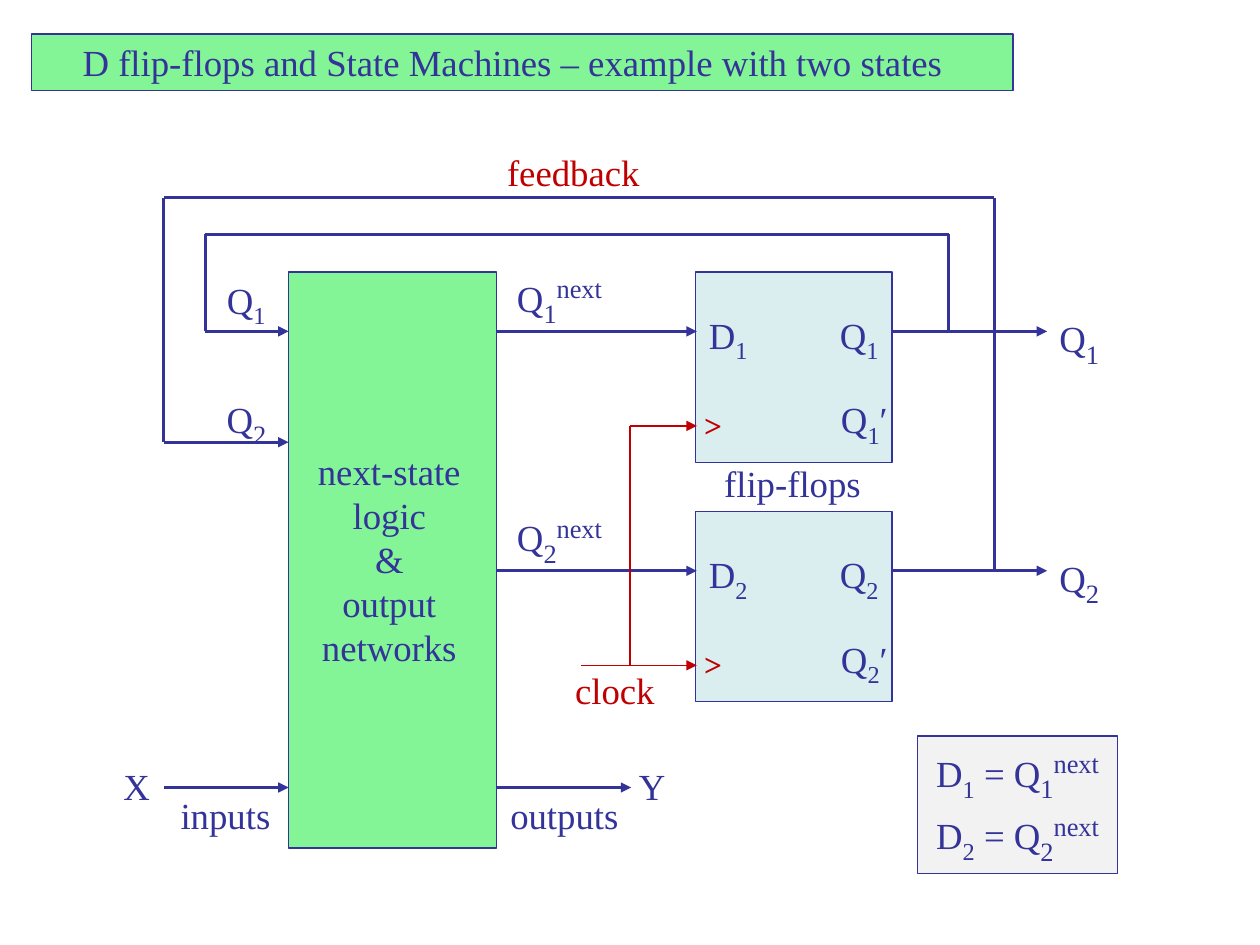
from lxml import etree
from pptx import Presentation
from pptx.dml.color import RGBColor
from pptx.enum.shapes import MSO_CONNECTOR as CONN, MSO_SHAPE as SHAPE
from pptx.enum.text import MSO_ANCHOR as ANCHOR, PP_ALIGN as ALIGN
from pptx.oxml.ns import qn
from pptx.util import Inches, Pt

NAVY = RGBColor(0x33, 0x33, 0x99)
RED = RGBColor(0xC0, 0x00, 0x00)
GREEN = RGBColor(0x83, 0xF5, 0x96)
PALE_BLUE = RGBColor(0xDA, 0xED, 0xEF)
PALE_GRAY = RGBColor(0xF2, 0xF2, 0xF2)
FONT = "Times New Roman"

# The slide is a grid of 100 columns by 75 rows of square cells
COLS, ROWS = 100, 75
CELL = Inches(10) / COLS

# Run markers: small subscript, large subscript, superscript (size, baseline)
SCRIPTS = {"_": (24, -25000), "~": (26, -25000), "^": (26, 30000)}


def cells(*lengths):
    return [round(n * CELL) for n in lengths]


def write(tf, lines, color=NAVY, size=21, bold=None, align=ALIGN.CENTER):
    """Fill a text frame; "|" parts runs and a marker sets a run as script."""
    tf.word_wrap = True
    tf.vertical_anchor = ANCHOR.TOP
    for i, line in enumerate(lines.split("\n")):
        p = tf.paragraphs[0] if i == 0 else tf.add_paragraph()
        p.alignment = align
        for part in line.split("|"):
            run_size, baseline = SCRIPTS.get(part[0], (size, 0))
            r = p.add_run()
            r.text = part[1:] if baseline else part
            r.font.name, r.font.size, r.font.bold = FONT, Pt(run_size), bold
            r.font.color.rgb = color
            if baseline:
                r._r.get_or_add_rPr().set("baseline", str(baseline))


def label(s, box, text, **style):
    tb = s.shapes.add_textbox(*cells(*box))
    write(tb.text_frame, text, **style)


def block(s, box, fill):
    sp = s.shapes.add_shape(SHAPE.RECTANGLE, *cells(*box))
    sp.shadow.inherit = False
    sp.fill.solid()
    sp.fill.fore_color.rgb = fill
    sp.line.color.rgb = NAVY
    sp.line.width = Pt(0.75)
    return sp


def wire(s, *points, color=NAVY, width=1.75, arrow=True):
    """Join the points with straight lines; the last may end in an arrow."""
    for start, end in zip(points, points[1:]):
        c = s.shapes.add_connector(CONN.STRAIGHT, *cells(*start, *end))
        c.line.color.rgb = color
        c.line.width = Pt(width)
        if arrow and end == points[-1]:
            ln = c.line._get_or_add_ln()
            etree.SubElement(ln, qn("a:tailEnd"), type="triangle")
        etree.SubElement(c._element.spPr, qn("a:effectLst"))


def title_bar(s, box):
    sp = block(s, box, GREEN)
    sp.text_frame.margin_right = Inches(0.25)
    write(sp.text_frame,
          "D flip-flops and State Machines – example with two states")


def logic_block(s, box):
    x, y, w, h = box
    block(s, box, GREEN)
    label(s, (x + 0.8, y + 13.5, w - 2.1, 18.5),
          "next-state\nlogic\n&\noutput\nnetworks")
    # External input and output
    io_y = y + 40.9
    wire(s, (x - 9.9, io_y), (x, io_y))
    wire(s, (x + w, io_y), (x + w + 10.7, io_y))
    label(s, (x - 14.8, io_y - 2.4, 5.5, 4.5), "X")
    label(s, (x + w + 9.9, io_y - 2.4, 4.9, 4.5), "Y")
    label(s, (x - 10.3, io_y - 0.1, 10.6, 4.5), "inputs")
    label(s, (x + w + 0.1, io_y - 0.1, 10.6, 4.5), "outputs")


def flip_flop(s, box, n, logic_right):
    x, y, w, h = box
    pin_y = y + 4.7
    block(s, box, PALE_BLUE)
    # Data wires
    wire(s, (logic_right, pin_y), (x + 0.1, pin_y))
    wire(s, (x + w, pin_y), (x + w + 12.3, pin_y))
    # Pin names
    label(s, (x - 0.4, y + 2.3, 6, 5.6), f"D|_{n}")
    label(s, (x + 10, y + 2.3, 6, 5.6), f"Q|_{n}")
    label(s, (x + 10.3, y + 9, 6.2, 5.6), f"Q|_{n}|ʹ")
    label(s, (x - 0.3, y + 10.1, 3.4, 4), ">",
          color=RED, size=18, bold=True, align=ALIGN.LEFT)
    # Wire names
    label(s, (logic_right - 0.1, y - 0.9, 10.2, 6), f"Q|~{n}|^next")
    label(s, (x + w + 11.7, y + 2.3, 6.3, 6), f"Q|~{n}")


def clock_net(s, start_x, branch_x, end_x, ys):
    style = dict(color=RED, width=0.75)
    top, bottom = ys
    wire(s, (start_x, bottom), (end_x, bottom), **style)
    wire(s, (branch_x, bottom), (branch_x, top), (end_x, top), **style)
    label(s, (start_x - 2.6, bottom - 0.3, 10.6, 4.5), "clock", color=RED)


def feedback_loop(s, left, top, right, tap_y, end, name, marker, drop):
    end_x, end_y = end
    wire(s, (right, tap_y), (right, top), (left, top), (left, end_y), end)
    label(s, (end_x - 6.4, end_y - drop, 6.1, 6), f"Q|{marker}{name}")


def equations(s, box):
    sp = block(s, box, PALE_GRAY)
    write(sp.text_frame, "\n".join(f"D|_{n}| = Q|~{n}|^next" for n in (1, 2)))


def main():
    prs = Presentation()
    prs.slide_width, prs.slide_height = cells(COLS, ROWS)
    s = prs.slides.add_slide(prs.slide_layouts[6])

    top, logic_x, logic_w = 21.6, 22.9, 16.5
    ff_x, ff_w, ff_h, ff_step = 55.2, 15.6, 15.1, 19
    logic_right = logic_x + logic_w
    ff_tops = [top, top + ff_step]

    title_bar(s, (2.5, 2.7, 77.9, 4.5))
    logic_block(s, (logic_x, top, logic_w, 45.7))
    for n, y in enumerate(ff_tops, 1):
        flip_flop(s, (ff_x, y, ff_w, ff_h), n, logic_right)
    label(s, (ff_x + 1, top + ff_h - 0.6, 13.4, 4.5), "flip-flops")

    # Feedback from each flip-flop to the logic
    pin_1, pin_2 = [y + 4.7 for y in ff_tops]
    feedback_loop(s, 16.3, 18.6, 75.3, pin_1, (logic_x, pin_1), 1, "_", 5.2)
    feedback_loop(s, 13, 15.7, 78.9, pin_2, (logic_x, 35.1), 2, "~", 4.8)
    label(s, (38.9, 11.4, 13.2, 4.5), "feedback", color=RED)

    clock_net(s, 46.1, 50, ff_x + 0.1, [y + 12.2 for y in ff_tops])
    equations(s, (72.8, 58.4, 15.9, 10.9))
    prs.save("out.pptx")


if __name__ == "__main__":
    main()
